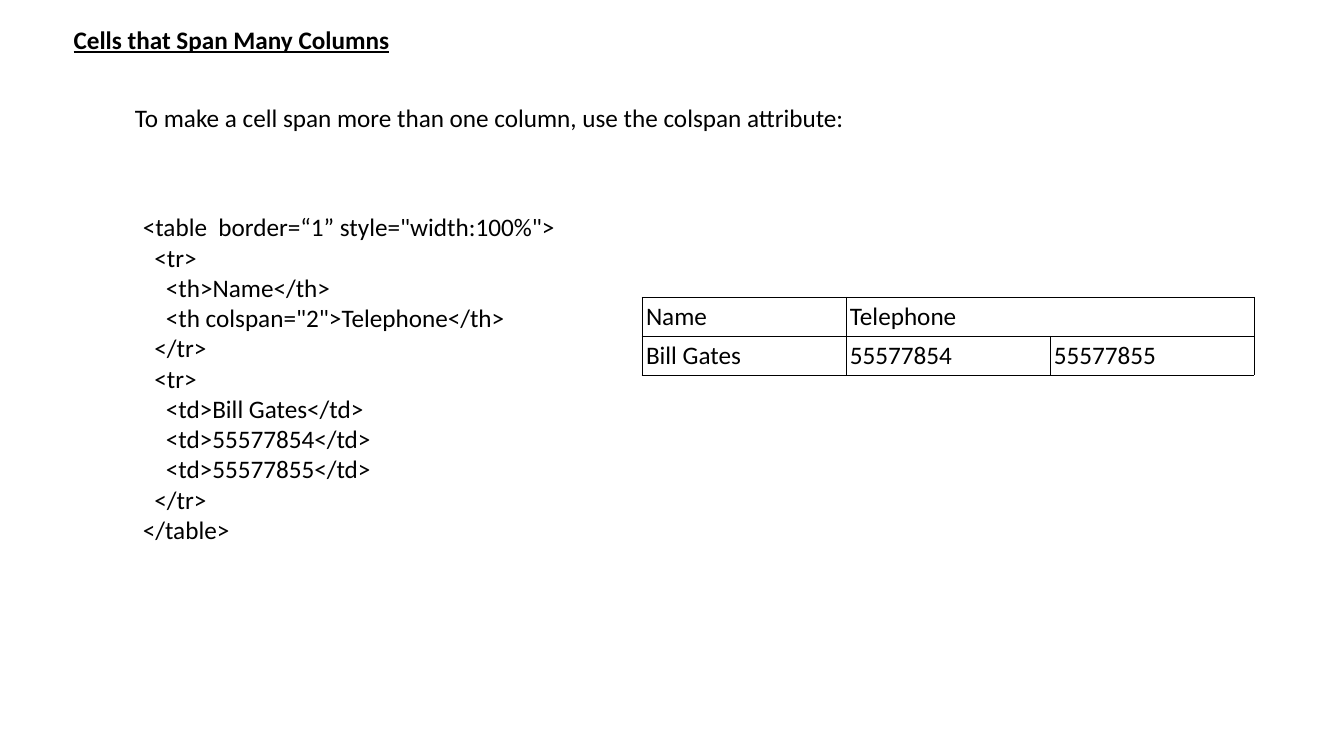
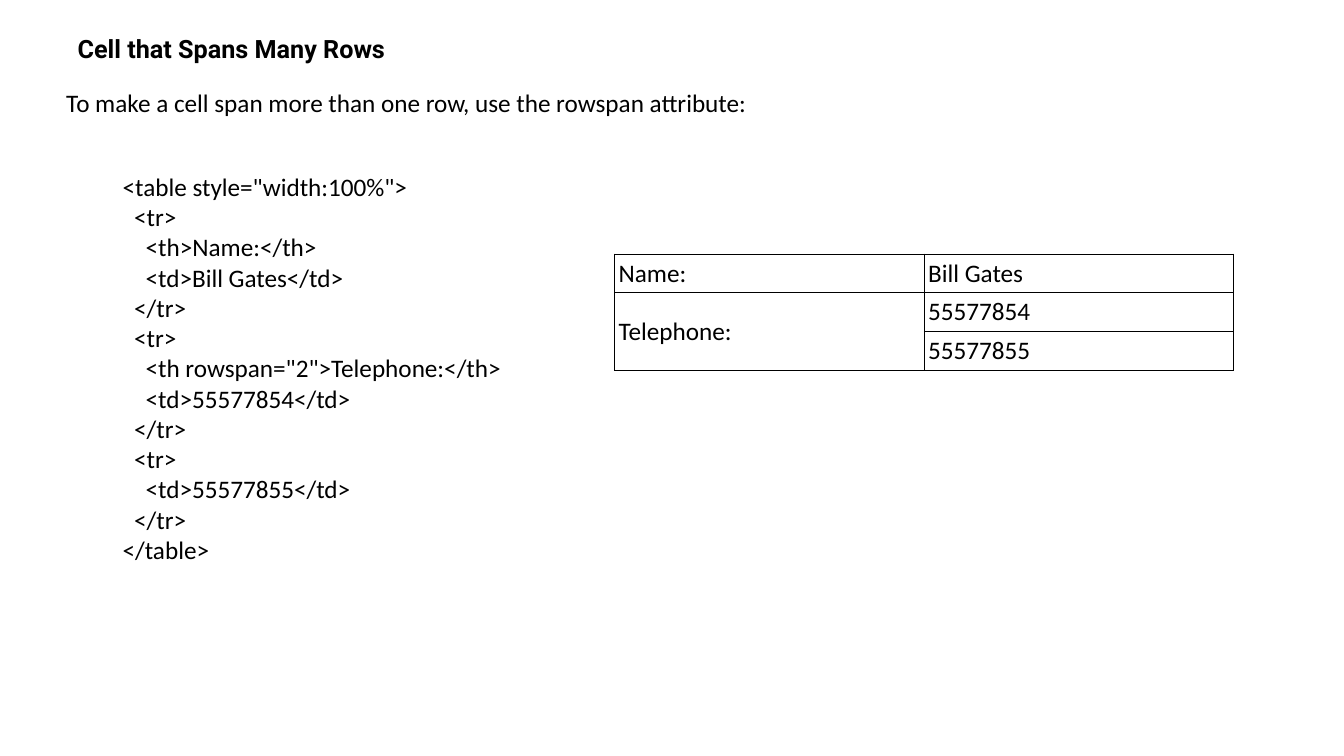
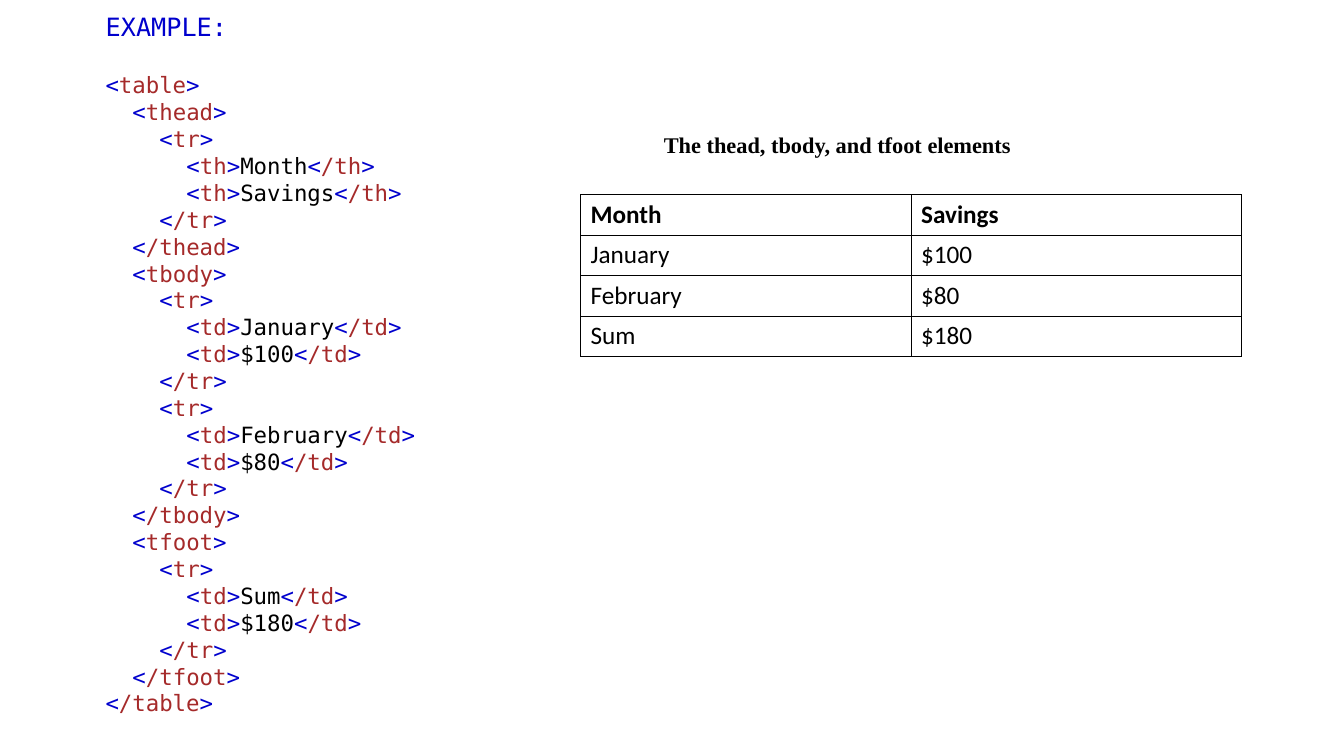
from pptx import Presentation
from pptx.dml.color import RGBColor
from pptx.enum.text import MSO_ANCHOR, MSO_AUTO_SIZE, PP_ALIGN
from pptx.oxml import parse_xml
from pptx.oxml.ns import nsdecls
from pptx.util import Cm, Pt

BLACK = RGBColor(0x00, 0x00, 0x00)
BRACKET_BLUE = RGBColor(0x00, 0x00, 0xCD)
TAG_RED = RGBColor(0xA5, 0x2A, 0x2A)
TOP, MIDDLE = MSO_ANCHOR.TOP, MSO_ANCHOR.MIDDLE
LEFT = PP_ALIGN.LEFT
NO_AUTOFIT = MSO_AUTO_SIZE.NONE
BODY, MONO = "Calibri", "DejaVu Sans Mono"
TITLE_ONLY = 5
BORDER_SIDES = ("lnL", "lnR", "lnT", "lnB")
BORDER_WIDTH = Pt(0.6)

COLSPAN_CODE = """\
<table  border=“1” style="width:100%">
  <tr>
    <th>Name</th>
    <th colspan="2">Telephone</th>
  </tr>
  <tr>
    <td>Bill Gates</td>
    <td>55577854</td>
    <td>55577855</td>
  </tr>
</table>"""

ROWSPAN_CODE = """\
<table style="width:100%">
  <tr>
    <th>Name:</th>
    <td>Bill Gates</td>
  </tr>
  <tr>
    <th rowspan="2">Telephone:</th>
    <td>55577854</td>
  </tr>
  <tr>
    <td>55577855</td>
  </tr>
</table>"""

SECTIONS_CODE = """\
<table>
  <thead>
    <tr>
      <th>Month</th>
      <th>Savings</th>
    </tr>
  </thead>
  <tbody>
    <tr>
      <td>January</td>
      <td>$100</td>
    </tr>
    <tr>
      <td>February</td>
      <td>$80</td>
    </tr>
  </tbody>
  <tfoot>
    <tr>
      <td>Sum</td>
      <td>$180</td>
    </tr>
  </tfoot>
</table>"""


def add_text(p, text, font=BODY, size=18, color=BLACK, bold=False, underline=False):
    r = p.add_run()
    r.text = text
    f = r.font
    f.name, f.size, f.bold, f.underline = font, Pt(size), bold, underline
    f.color.rgb = color


def cm_box(box):
    return [Cm(v) for v in box]


def add_title(s, box, text, **fmt):
    sp = s.shapes.title
    sp.left, sp.top, sp.width, sp.height = cm_box(box)
    tf = sp.text_frame
    tf.auto_size, tf.vertical_anchor = NO_AUTOFIT, TOP
    p = tf.paragraphs[0]
    p.alignment = LEFT
    add_text(p, text, **fmt)


def add_frame(s, box):
    tf = s.shapes.add_textbox(*cm_box(box)).text_frame
    tf.word_wrap = True
    return tf


def add_line(s, box, text, **fmt):
    add_text(add_frame(s, box).paragraphs[0], text, **fmt)


def add_tagged(p, line, **fmt):
    """Write markup with coloured brackets and tag names."""
    for piece in line.split("<")[1:]:
        tag, content = piece.split(">")
        parts = (("<", BRACKET_BLUE), (tag, TAG_RED), (">", BRACKET_BLUE), (content, BLACK))
        for text, color in parts:
            if text:
                add_text(p, text, color=color, **fmt)


def add_code(s, box, code, step=0.29, write=add_text, spacing=None, **fmt):
    """Write code lines; step is the indent of one level in cm."""
    tf = add_frame(s, box)
    for i, line in enumerate(code.splitlines()):
        p = tf.add_paragraph() if i else tf.paragraphs[0]
        text = line.lstrip()
        level = (len(line) - len(text)) // 2
        p._p.get_or_add_pPr().set("marL", str(Cm(step * level)))
        p.line_spacing = spacing
        write(p, text, **fmt)


def add_borders(cell):
    tcPr = cell._tc.get_or_add_tcPr()
    for i, side in enumerate(BORDER_SIDES):
        tcPr.insert(i, parse_xml(
            f'<a:{side} {nsdecls("a")} w="{BORDER_WIDTH}"><a:solidFill>'
            f'<a:srgbClr val="{BLACK}"/></a:solidFill></a:{side}>'))


def add_grid(s, box, rows, span=None, margin=None, bold_head=False):
    """Place an even table; span is a pair of (row, column) corners to merge."""
    frame = s.shapes.add_table(len(rows), len(rows[0]), *cm_box(box))
    table = frame.table
    table.first_row = table.horz_banding = False
    for i, row in enumerate(rows):
        for j, text in enumerate(row):
            cell = table.cell(i, j)
            cell.fill.background()
            cell.vertical_anchor = MIDDLE
            if margin is not None:
                cell.margin_left = cell.margin_right = Cm(margin)
                cell.margin_top = cell.margin_bottom = Cm(margin)
            add_borders(cell)
            if text:
                add_text(cell.text_frame.paragraphs[0], text, bold=bold_head and i == 0)
    if span:
        start, end = span
        table.cell(*start).merge(table.cell(*end))


def colspan_slide(s):
    add_title(s, (1.6, 0.48, 12, 1.02), "Cells that Span Many Columns", bold=True, underline=True)
    add_line(s, (3.15, 2.46, 22.94, 1.02),
             "To make a cell span more than one column, use the colspan attribute:")
    add_code(s, (3.35, 5.21, 16.94, 8.71), COLSPAN_CODE)
    add_grid(s, (16.18, 7.49, 15.42, 1.96),
             [("Name", "Telephone", ""), ("Bill Gates", "55577854", "55577855")],
             span=((0, 1), (0, 2)), margin=0.1)


def rowspan_slide(s):
    add_title(s, (1.7, 0.71, 12, 1.02), "Cell that Spans Many Rows", font="Roboto", bold=True)
    add_line(s, (1.42, 2.08, 23.98, 1.02),
             "To make a cell span more than one row, use the rowspan attribute:")
    add_code(s, (2.84, 4.19, 16.94, 10.26), ROWSPAN_CODE)
    add_grid(s, (15.49, 6.4, 15.6, 2.93),
             [("Name:", "Bill Gates"), ("Telephone:", "55577854"), ("", "55577855")],
             span=((1, 0), (2, 0)), margin=0.1)


def sections_slide(s):
    add_title(s, (2.41, 0.15, 12, 1.02), "EXAMPLE:", font=MONO, color=BRACKET_BLUE)
    add_code(s, (2.41, 1.68, 12, 16.6), SECTIONS_CODE, step=0.68, write=add_tagged,
             spacing=Pt(19.2), font=MONO, size=16)
    add_grid(s, (14.63, 4.9, 16.66, 4.08),
             [("Month", "Savings"), ("January", "$100"), ("February", "$80"), ("Sum", "$180")],
             bold_head=True)
    add_line(s, (16.48, 3.18, 10.5, 0.94), "The thead, tbody, and tfoot elements",
             font="Times New Roman", size=16, bold=True)


def main():
    prs = Presentation()
    prs.slide_width, prs.slide_height = Cm(33.87), Cm(19.05)
    for build in (colspan_slide, rowspan_slide, sections_slide):
        build(prs.slides.add_slide(prs.slide_layouts[TITLE_ONLY]))
    prs.save("out.pptx")


if __name__ == "__main__":
    main()
